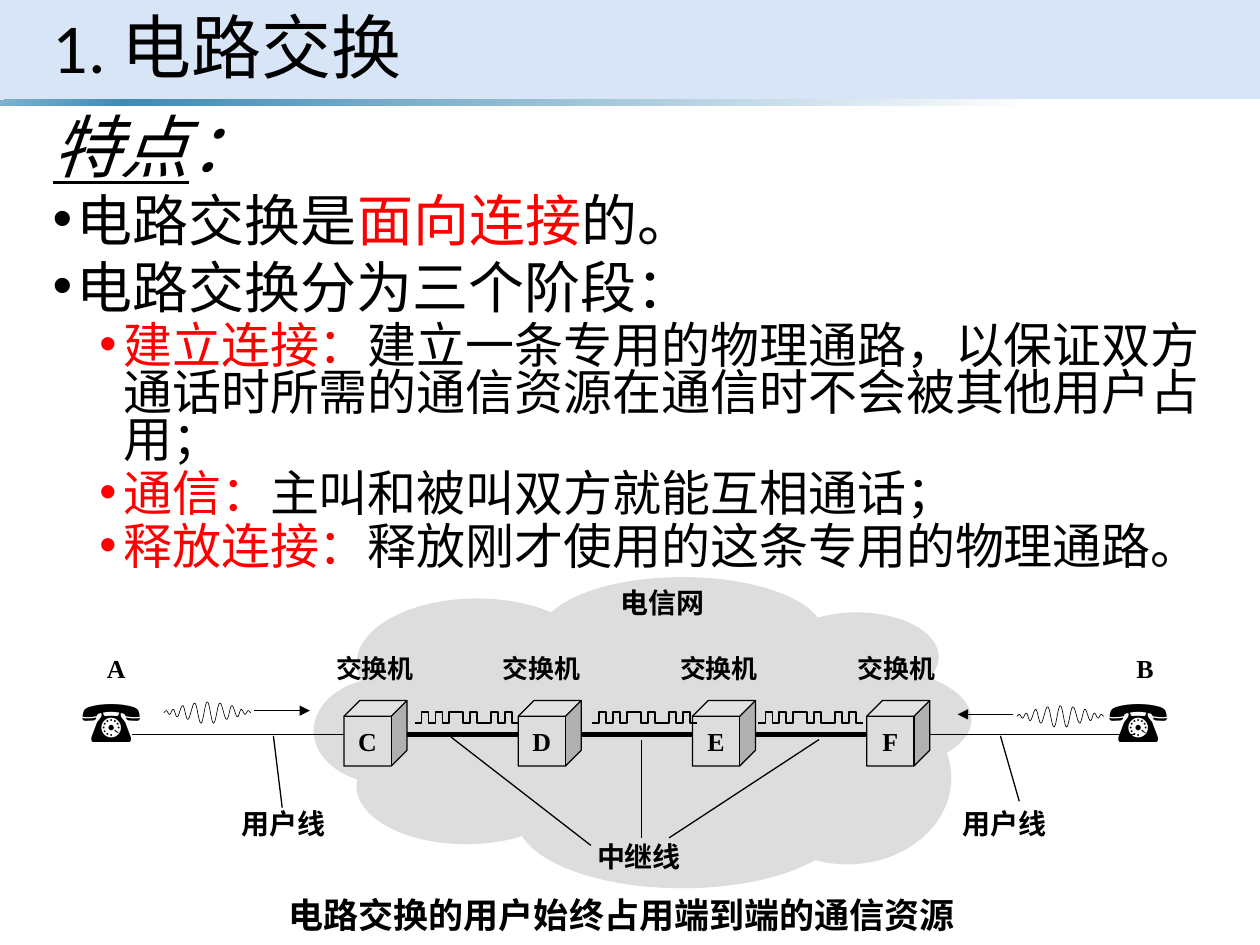
import math

from lxml import etree
from pptx import Presentation, util as u
from pptx.dml.color import RGBColor
from pptx.enum import dml, shapes, text
from pptx.oxml import ns, xmlchemy

BLACK = RGBColor(0x00, 0x00, 0x00)
RED = RGBColor(0xFF, 0x00, 0x00)
GREY = RGBColor(0xDD, 0xDD, 0xDD)
HEADER = RGBColor(0xC8, 0xDA, 0xF4)
GRADIENT = [(0, "7EB3D0"), (10, "418AB3"), (82, "FFFFFF"), (96, "FFFFFF")]
LATIN, SERIF = "Calibri", "Times New Roman"

# The slide is a grid of 100 columns and 75 rows of square cells.
deck = Presentation()
deck.slide_width, deck.slide_height = u.Inches(10), u.Inches(7.5)
CELL = deck.slide_width // 100
page = deck.slides.add_slide(deck.slide_layouts[5])


def grid(*cells):
    """Turn columns and rows into slide lengths."""
    return [round(cell * CELL) for cell in cells]


def write(para, words, size, color=BLACK, **formats):
    span = para.add_run()
    span.text = words
    span.font.color.rgb = color
    for name, value in {"size": u.Pt(size), "name": LATIN, **formats}.items():
        setattr(span.font, name, value)


# Header band, gradient rule and title
bands = []
for top, height in [(0, 7.9), (7.9, 0.5)]:
    band = page.shapes.add_shape(shapes.MSO_SHAPE.RECTANGLE, *grid(0, top, 100, height))
    band.shadow.inherit = False
    band.line.fill.background()
    band.fill.solid()
    band.fill.fore_color.rgb = HEADER
    bands.append(band)
header, rule = bands
header_color = header.element.spPr.find(".//" + ns.qn("a:srgbClr"))
etree.SubElement(header_color, ns.qn("a:alpha"), val="70000")
stops = "".join(f'<a:gs pos="{share * 1000}"><a:srgbClr val="{color}"/></a:gs>' for share, color in GRADIENT)
gradient = etree.fromstring(
    f'<a:gradFill {ns.nsdecls("a")} rotWithShape="1"><a:gsLst>{stops}</a:gsLst>'
    '<a:lin ang="2700000" scaled="1"/></a:gradFill>')
solid = rule.element.spPr.find(ns.qn("a:solidFill"))
rule.element.spPr.replace(solid, gradient)

title = page.shapes.title
rule.element.addnext(title.element)
title.left, title.top, title.width, title.height = grid(3.2, 0, 93.3, 8.1)
title.text_frame.vertical_anchor = text.MSO_ANCHOR.MIDDLE
title.text_frame.auto_size = text.MSO_AUTO_SIZE.NONE
para = title.text_frame.paragraphs[0]
para.alignment, para.line_spacing = text.PP_ALIGN.LEFT, 0.9
write(para, "1. 电路交换", 40)

# Points: level (0 is the heading) and runs
POINTS = [
    (0, [("特点", BLACK, {"underline": True}), ("：", BLACK, {})]),
    (1, [("电路交换是", BLACK, {}), ("面向连接", RED, {}), ("的。", BLACK, {})]),
    (1, [("电路交换分为三个阶段：", BLACK, {})]),
    (2, [("建立连接：", RED, {}),
         ("建立一条专用的物理通路，以保证双方通话时所需的通信资源在通信时不会被其他用户占用；", BLACK, {})]),
    (2, [("通信：", RED, {}), ("主叫和被叫双方就能互相通话；", BLACK, {})]),
    (2, [("释放连接：", RED, {}), ("释放刚才使用的这条专用的物理通路。", BLACK, {})]),
]
SIZES, GAPS, INDENTS = [39, 32, 28], [7.5, 7.5, 3.8], [0, 1.9, 5.6]
points = page.shapes.add_textbox(*grid(3.2, 9, 93.3, 37.9)).text_frame
points.word_wrap = True
for number, (level, runs) in enumerate(POINTS):
    para = points.add_paragraph() if number else points.paragraphs[0]
    para.line_spacing, para.space_before = 0.8, u.Pt(GAPS[level])
    if level:
        para.level = level - 1
        margin, hanging = grid(INDENTS[level], -1.9)
        properties = para._p.get_or_add_pPr()
        properties.set("marL", str(margin))
        properties.set("indent", str(hanging))
        etree.SubElement(properties, ns.qn("a:buFont"), typeface="Arial")
        etree.SubElement(properties, ns.qn("a:buChar"), char="•")
    for words, color, formats in runs:
        write(para, words, SIZES[level], color, italic=level == 0, **formats)

# Network cloud
CLOUD = [
    (42.9, 45.8, 22.5, 9.1), (28.3, 47.5, 19.1, 10.3), (24.9, 53.8, 11.4, 8.4),
    (28.3, 57.8, 17.4, 9.2), (41, 59.4, 26.3, 11.1), (61.5, 48.6, 13, 7.1),
    (60.6, 53, 16.5, 8.2), (59, 54.9, 16.5, 13.7), (34.4, 50.7, 33.9, 13.7),
]
for place in CLOUD:
    puff = page.shapes.add_shape(shapes.MSO_SHAPE.OVAL, *grid(*place))
    puff.shadow.inherit = False
    puff.fill.solid()
    puff.fill.fore_color.rgb = GREY
    puff.line.fill.background()

# Trunk, subscriber lines, pointers and arrows: ends, width, arrowhead
LINES = [
    (29.8, 58.3, 70.4, 58.3, 3, False),
    (10.5, 58.3, 28.2, 58.3, 0.75, False), (71.3, 58.3, 90.1, 58.3, 0.75, False),
    (35.8, 58.5, 46.9, 67.1, 0.75, False), (50.9, 58.7, 50.9, 66.5, 0.75, False),
    (65, 58.7, 53.1, 66.5, 0.75, False), (21.7, 58.4, 22.4, 64.1, 0.75, False),
    (79.4, 58.4, 80.9, 63.6, 0.75, False),
    (80.4, 56.7, 76, 56.7, 0.75, True), (20.2, 56.4, 24.6, 56.4, 0.75, True),
]
for *ends, width, arrow in LINES:
    line = page.shapes.add_connector(shapes.MSO_CONNECTOR.STRAIGHT, *grid(*ends))
    line.line.width = u.Pt(width)
    line.line.color.rgb = BLACK
    if arrow:
        etree.SubElement(line.line._get_or_add_ln(), ns.qn("a:tailEnd"), type="triangle")
    etree.SubElement(line.element.spPr, ns.qn("a:effectLst"))

# Switches
for number, name in enumerate("CDEF"):
    switch = page.shapes.add_shape(shapes.MSO_SHAPE.CUBE, *grid(27.3 + 13.83 * number, 55.6, 5, 5.2))
    switch.shadow.inherit = False
    switch.adjustments[0] = 0.25
    switch.fill.solid()
    switch.fill.fore_color.rgb = GREY
    switch.line.color.rgb = BLACK
    switch.line.width = u.Pt(0.75)
    switch.text_frame.word_wrap = False
    switch.text_frame.vertical_anchor = text.MSO_ANCHOR.MIDDLE
    para = switch.text_frame.paragraphs[0]
    para.alignment = text.PP_ALIGN.CENTER
    write(para, name, 14.8, name=SERIF, bold=True)

# Analogue waves: cosine arcs through the turning points, mirrored about the middle
TURNS = [(0, -0.85), (0.5, 0.85), (1, -0.75), (1.55, 0.55), (1.95, -0.55),
         (2.4, 0.35), (2.7, -0.25), (3, 0.15), (3.25, -0.15), (3.45, 0)]
STEPS = 8
half = [TURNS[0]]
for (x, y), (next_x, next_y) in zip(TURNS, TURNS[1:]):
    for step in range(1, STEPS + 1):
        share = step / STEPS
        ease = (1 - math.cos(math.pi * share)) / 2
        half.append((x + (next_x - x) * share, y + (next_y - y) * ease))
wave = [(-x, y) for x, y in reversed(half[1:])] + half

# Digital pulses: slots of equal width, high where marked
SLOT = 8.3 / 15
pulse = [(0, 0.9)]
for slot, level in enumerate("010101101001010"):
    height = 0.9 * (level == "0")
    pulse += [(slot * SLOT, height), ((slot + 1) * SLOT, height)]

SIGNALS = [(wave, 84.15, 56.85, 0.38), (wave, 16.45, 56.55, 0.38)]
SIGNALS += [(pulse, left, 56.5, 1) for left in (32.9, 47, 60.2)]
for outline, left, top, width in SIGNALS:
    corners = [grid(left + x, top + y) for x, y in outline]
    builder = page.shapes.build_freeform(*corners[0])
    builder.add_line_segments(corners[1:], close=False)
    signal = builder.convert_to_shape()
    signal.shadow.inherit = False
    signal.fill.background()
    signal.line.color.rgb = BLACK
    signal.line.width = u.Pt(width)

# Labels: words, place, size, font, alignment
LEFT, CENTER = text.PP_ALIGN.LEFT, text.PP_ALIGN.CENTER
LABELS = [("☎", (left, 53.8, 8, 7.2), 33.2, SERIF, LEFT) for left in (5.5, 87)]
LABELS += [("交换机", (left, 51.3, 9, 3.8), 14.8, SERIF, LEFT) for left in (25.7, 38.9, 53, 67.1)]
LABELS += [("用户线", (left, 63.5, 9, 3.8), 16, SERIF, LEFT) for left in (18.2, 75.4)]
LABELS += [
    ("A", (7.5, 51.3, 3.8, 3.8), 14.8, SERIF, LEFT),
    ("B", (89.2, 51.3, 3.7, 3.8), 14.8, SERIF, LEFT),
    ("电信网", (48.3, 46, 9, 3.8), 16, SERIF, LEFT),
    ("中继线", (46.4, 66.1, 9, 3.8), 16, SERIF, LEFT),
    ("电路交换的用户始终占用端到端的通信资源", (13, 70.4, 72.7, 4.5), 20, LATIN, CENTER),
]
for words, place, size, font, alignment in LABELS:
    frame = page.shapes.add_textbox(*grid(*place)).text_frame
    frame.word_wrap = words == "☎" or alignment == CENTER
    frame.auto_size = text.MSO_AUTO_SIZE.SHAPE_TO_FIT_TEXT
    frame.paragraphs[0].alignment = alignment
    write(frame.paragraphs[0], words, size, name=font, bold=True)

deck.save("out.pptx")
